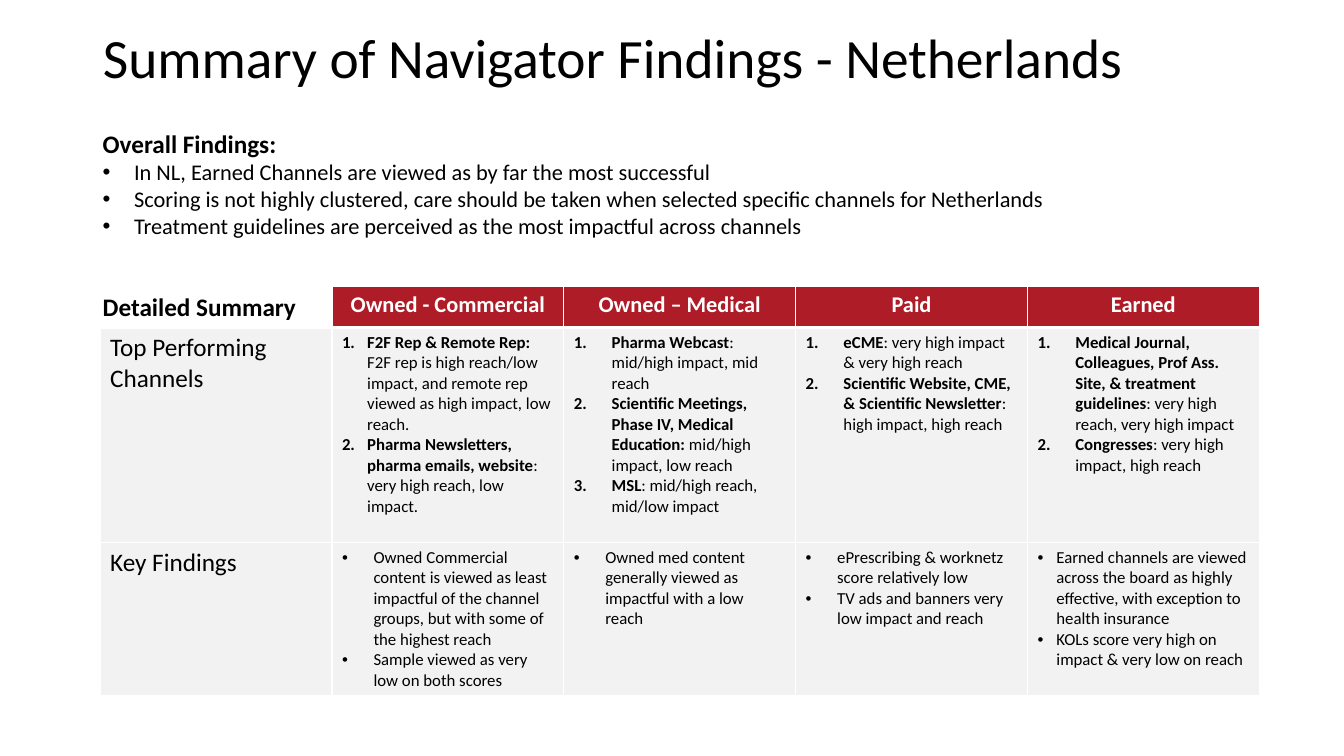
from lxml import etree
from pptx import Presentation
from pptx.dml.color import RGBColor as RGB
from pptx.enum.text import MSO_ANCHOR as Anchor, MSO_AUTO_SIZE as AutoSize, PP_ALIGN as Align
from pptx.oxml.ns import qn
from pptx.util import Pt

FONT = "Calibri"
COLORS = {"text": "000000", "white": "FFFFFF", "header": "AE1C28", "body": "F2F2F2"}

TITLE = "Summary of Navigator Findings - Netherlands"
OVERALL_HEADING = "Overall Findings:"
OVERALL = [
    "In NL, Earned Channels are viewed as by far the most successful",
    "Scoring is not highly clustered, care should be taken when selected specific channels for Netherlands",
    "Treatment guidelines are perceived as the most impactful across channels",
]
DETAILED_HEADING = "Detailed Summary"
ROW_LABELS = ["Top Performing Channels", "Key Findings"]
GROUPS = [
    {
        "name": "Owned - Commercial",
        "channels": [
            ("F2F Rep & Remote Rep:", " F2F rep is high reach/low impact, and remote rep viewed as high impact, low reach."),
            ("Pharma Newsletters, pharma emails, website", ": very high reach, low impact."),
        ],
        "findings": [
            "Owned Commercial content is viewed as least impactful of the channel groups, but with some of the highest reach",
            "Sample viewed as very low on both scores",
        ],
        "indents": (18, 22.5),
    },
    {
        "name": "Owned – Medical",
        "channels": [
            ("Pharma Webcast", ": mid/high impact, mid reach"),
            ("Scientific Meetings, Phase IV, Medical Education:", " mid/high impact, low reach"),
            ("MSL", ": mid/high reach, mid/low impact"),
        ],
        "findings": ["Owned med content generally viewed as impactful with a low reach"],
        "indents": (27, 22.5),
    },
    {
        "name": "Paid",
        "channels": [
            ("eCME", ": very high impact & very high reach"),
            ("Scientific Website, CME, & Scientific Newsletter", ": high impact, high reach"),
        ],
        "findings": [
            "ePrescribing & worknetz score relatively low",
            "TV ads and banners very low impact and reach",
        ],
        "indents": (27, 22.5),
    },
    {
        "name": "Earned",
        "channels": [
            ("Medical Journal, Colleagues, Prof Ass. Site, & treatment guidelines", ": very high reach, very high impact"),
            ("Congresses", ": very high impact, high reach"),
        ],
        "findings": [
            "Earned channels are viewed across the board as highly effective, with exception to health insurance",
            "KOLs score very high on impact & very low on reach",
        ],
        "indents": (27, 13.5),
    },
]

LEFT, WIDTH = 66.25, 828
TABLE_LEFT, TABLE_TOP = 71.5, 204.7
ROW_HEIGHTS = [29.2, 153.6, 109]


def add_run(p, text, size, bold=False, color="text"):
    r = p.add_run()
    r.text = text
    r.font.name, r.font.size, r.font.bold = FONT, Pt(size), bold
    r.font.color.rgb = RGB.from_string(COLORS[color])


def add_marker(p, indent, numbered=False):
    pPr = p._p.get_or_add_pPr()
    pPr.set("marL", str(Pt(indent)))
    pPr.set("indent", str(-Pt(indent)))
    if numbered:
        etree.SubElement(pPr, qn("a:buFont"), typeface="+mj-lt")
        etree.SubElement(pPr, qn("a:buAutoNum"), type="arabicPeriod")
    else:
        etree.SubElement(pPr, qn("a:buFont"), typeface="Arial")
        etree.SubElement(pPr, qn("a:buChar"), char="•")


def add_list(tf, items, indent, size, numbered=False, first=True):
    for i, item in enumerate(items):
        p = tf.paragraphs[0] if first and i == 0 else tf.add_paragraph()
        add_marker(p, indent, numbered)
        if numbered:
            add_run(p, item[0], size, bold=True)
            add_run(p, item[1], size)
        else:
            add_run(p, item, size)


def add_heading(slide, text, top, width, height):
    tf = slide.shapes.add_textbox(Pt(LEFT), Pt(top), Pt(width), Pt(height)).text_frame
    tf.word_wrap = True
    add_run(tf.paragraphs[0], text, 18, bold=True)
    return tf


def style_cell(cell, fill, bottom=1):
    tcPr = cell._tc.get_or_add_tcPr()
    for side, width in (("L", 1), ("R", 1), ("T", 1), ("B", bottom)):
        ln = etree.SubElement(tcPr, qn(f"a:ln{side}"), w=str(Pt(width)))
        solid = etree.SubElement(ln, qn("a:solidFill"))
        etree.SubElement(solid, qn("a:srgbClr"), val=COLORS["white"])
    cell.fill.solid()
    cell.fill.fore_color.rgb = RGB.from_string(COLORS[fill])


def add_title(slide):
    s = slide.shapes.title
    s.left, s.top, s.width, s.height = Pt(LEFT), Pt(18), Pt(WIDTH), Pt(51)
    tf = s.text_frame
    tf.auto_size = AutoSize.NONE
    tf.vertical_anchor = Anchor.MIDDLE
    p = tf.paragraphs[0]
    p.alignment, p.line_spacing = Align.LEFT, 0.9
    add_run(p, TITLE, 39.6)


def add_summary_table(slide):
    columns = len(GROUPS) + 1
    table = slide.shapes.add_table(len(ROW_HEIGHTS), columns, Pt(TABLE_LEFT), Pt(TABLE_TOP),
                                   Pt(WIDTH), Pt(sum(ROW_HEIGHTS))).table
    table.horz_banding = False
    for column in table.columns:
        column.width = Pt(WIDTH / columns)
    for row, height in zip(table.rows, ROW_HEIGHTS):
        row.height = Pt(height)

    style_cell(table.cell(0, 0), "white", 3)
    for i, label in enumerate(ROW_LABELS, 1):
        cell = table.cell(i, 0)
        style_cell(cell, "body", 1)
        add_run(cell.text_frame.paragraphs[0], label, 18)

    for j, group in enumerate(GROUPS, 1):
        header, channels, findings = (table.cell(i, j) for i in range(3))
        style_cell(header, "header", 3)
        style_cell(channels, "body")
        style_cell(findings, "body")
        p = header.text_frame.paragraphs[0]
        p.alignment = Align.CENTER
        add_run(p, group["name"], 16, bold=True, color="white")
        number_indent, bullet_indent = group["indents"]
        add_list(channels.text_frame, group["channels"], number_indent, 12, numbered=True)
        add_list(findings.text_frame, group["findings"], bullet_indent, 12)


def main():
    prs = Presentation()
    prs.slide_width, prs.slide_height = Pt(960), Pt(540)
    slide = prs.slides.add_slide(prs.slide_layouts[5])
    add_title(slide)
    add_summary_table(slide)
    add_heading(slide, DETAILED_HEADING, TABLE_TOP, 323, 29)
    tf = add_heading(slide, OVERALL_HEADING, 88, WIDTH, 87)
    add_list(tf, OVERALL, 22.5, 16, first=False)
    prs.save("out.pptx")


if __name__ == "__main__":
    main()
